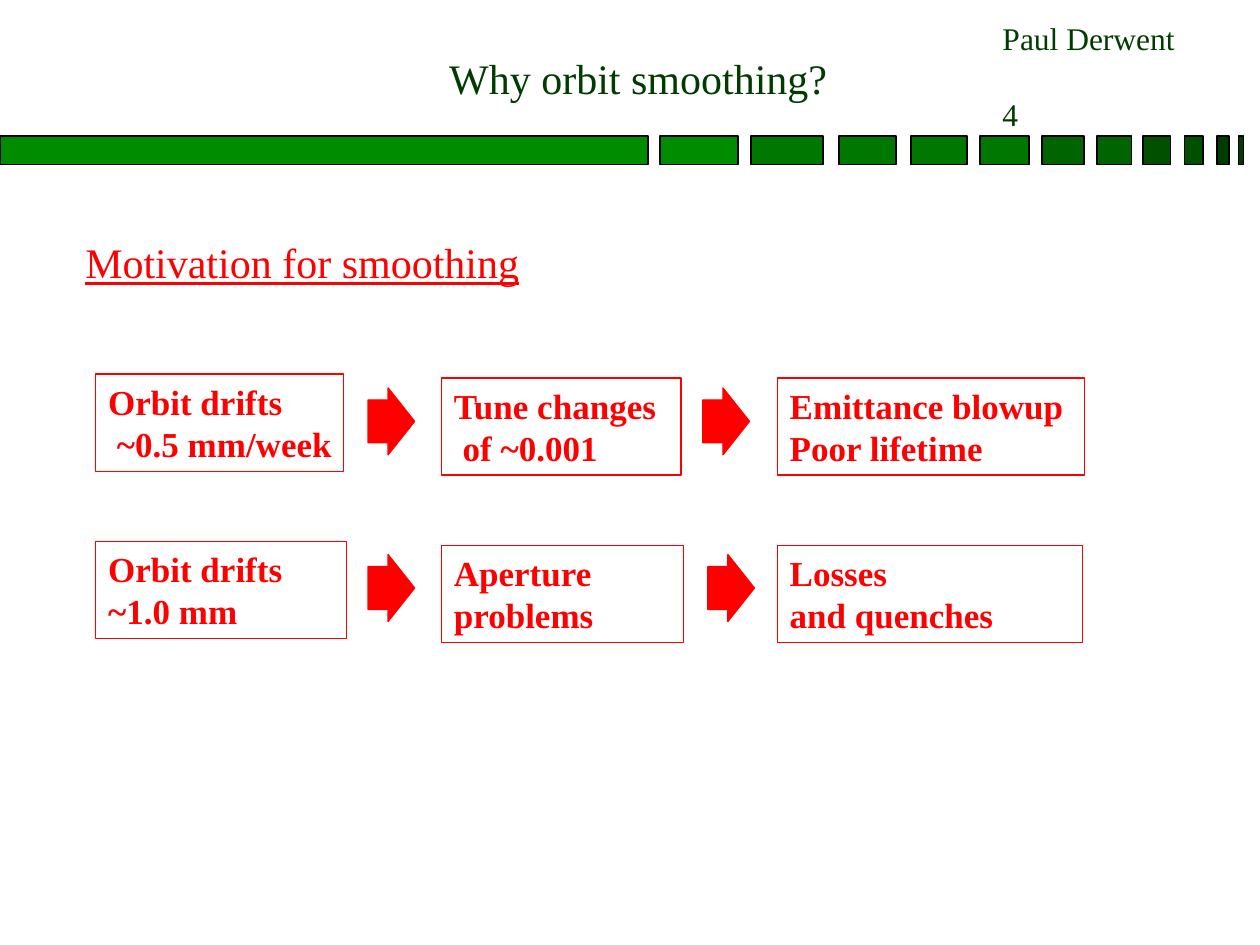
"""Build the slide on the motivation for orbit smoothing."""
from dataclasses import dataclass

from pptx import Presentation
from pptx.dml.color import RGBColor
from pptx.enum.shapes import MSO_SHAPE as Shape
from pptx.enum.text import MSO_ANCHOR as Anchor, PP_ALIGN as Align
from pptx.util import Cm, Pt


@dataclass(frozen=True)
class Theme:
    font: str = "Times New Roman"
    dark_green: str = "003C00"
    red: str = "FF0000"
    black: str = "000000"
    heading_size: int = 24
    author_size: int = 18
    box_size: int = 20
    bar_line: float = 1
    box_line: float = 0.75


theme = Theme()


def add_block(kind, left, top, width, height, fill, line, line_width):
    shape = slide.shapes.add_shape(kind, Cm(left), Cm(top), Cm(width), Cm(height))
    shape.shadow.inherit = False
    if fill:
        shape.fill.solid()
        shape.fill.fore_color.rgb = RGBColor.from_string(fill)
    else:
        shape.fill.background()
    shape.line.color.rgb = RGBColor.from_string(line)
    shape.line.width = Pt(line_width)
    return shape


def write(shape, text, size, color, align=Align.LEFT, anchor=Anchor.TOP, wrap=True):
    text_frame = shape.text_frame
    text_frame.text = text
    text_frame.word_wrap = wrap
    text_frame.vertical_anchor = anchor
    for paragraph in text_frame.paragraphs:
        paragraph.alignment = align
        for run in paragraph.runs:
            run.font.name = theme.font
            run.font.size = Pt(size)
            run.font.color.rgb = RGBColor.from_string(color)
    return text_frame.paragraphs


presentation = Presentation()
presentation.slide_width, presentation.slide_height = Cm(25.4), Cm(19.05)
slide = presentation.slides.add_slide(presentation.slide_layouts[6])

bars = [
    (0, 13.06, "008C00"), (13.31, 1.57, "008C00"),
    (15.14, 1.45, "007800"), (16.92, 1.14, "007800"),
    (18.36, 1.14, "007800"), (19.76, 0.99, "007800"),
    (21.01, 0.84, "006400"), (22.12, 0.69, "006400"),
    (23.04, 0.56, "005000"), (23.88, 0.38, "005000"),
    (24.54, 0.23, "003C00"), (24.97, 0.1, "003C00"),
]
for left, width, green in bars:
    add_block(Shape.RECTANGLE, left, 2.74, width, 0.58, green, theme.black, theme.bar_line)

author_box = slide.shapes.add_textbox(Cm(19.96), Cm(0.25), Cm(3.99), Cm(2.54))
author, page = write(author_box, "Paul Derwent\n4", theme.author_size, theme.dark_green)
page.space_before = Pt(22)

title_box = slide.shapes.add_textbox(Cm(5.92), Cm(0.2), Cm(13.89), Cm(2.01))
write(title_box, "Why orbit smoothing?", theme.heading_size, theme.dark_green,
      Align.CENTER, Anchor.BOTTOM)

heading_box = slide.shapes.add_textbox(Cm(1.47), Cm(4.65), Cm(21.59), Cm(1.9))
heading, = write(heading_box, "Motivation for smoothing", theme.heading_size, theme.red)
heading.runs[0].font.underline = True

columns = [(1.93, -0.08), (8.9, 0), (15.67, 0)]
rows = [
    (7.62, 7.82, (7.42, 14.17), (5, 4.83, 6.2), False,
     ("Orbit drifts\n ~0.5 mm/week", "Tune changes\n of ~0.001",
      "Emittance blowup\nPoor lifetime")),
    (11, 11.18, (7.42, 14.27), (5.05, 4.88, 6.15), True,
     ("Orbit drifts\n~1.0 mm", "Aperture\nproblems", "Losses\nand quenches")),
]
for top, arrow_top, arrow_lefts, widths, wrap, texts in rows:
    for (left, shift), width, text in zip(columns, widths, texts):
        box = add_block(Shape.RECTANGLE, left, top + shift, width, 1.96,
                        None, theme.red, theme.box_line)
        for paragraph in write(box, text, theme.box_size, theme.red, wrap=wrap):
            paragraph.runs[0].font.bold = True
    for left in arrow_lefts:
        arrow = add_block(Shape.RIGHT_ARROW, left, arrow_top, 0.94, 1.35,
                          theme.red, theme.red, theme.box_line)
        arrow.adjustments[0], arrow.adjustments[1] = 0.64, 0.57

presentation.save("out.pptx")
